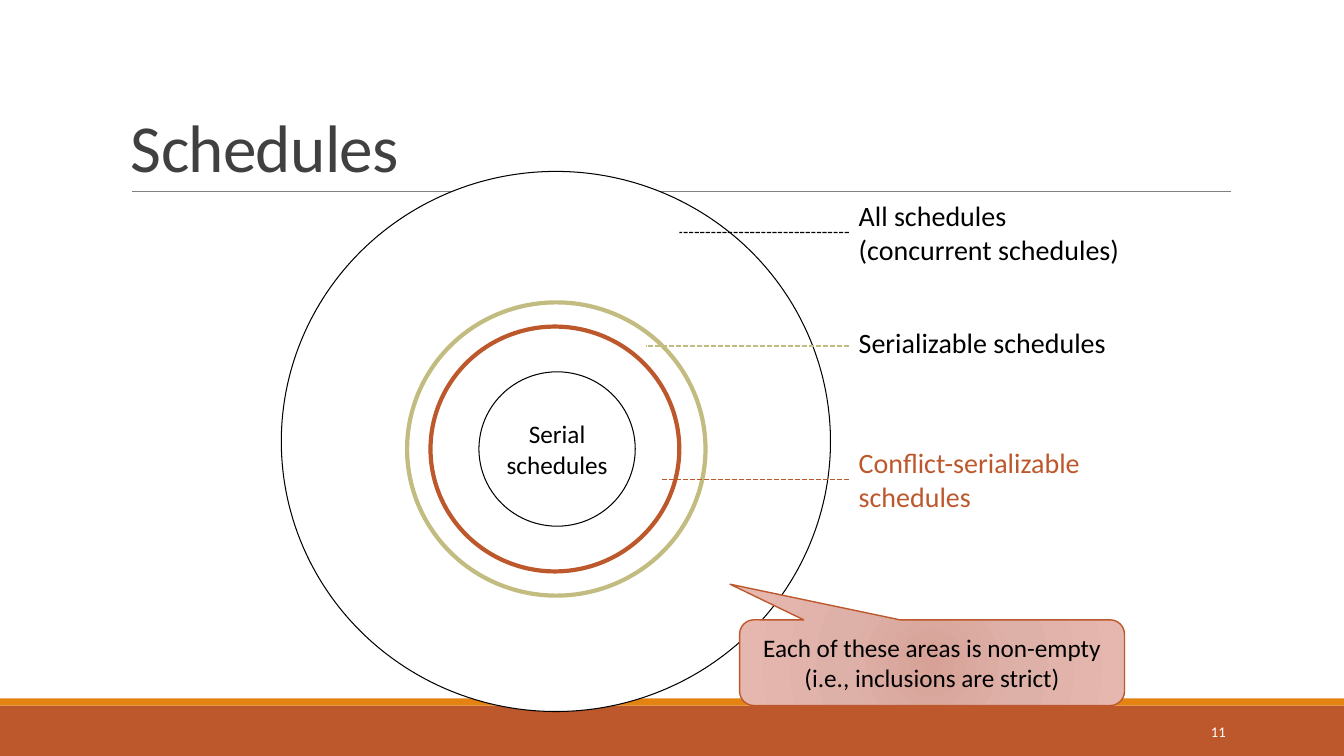
from dataclasses import dataclass

from lxml import etree
from pptx import Presentation
from pptx.dml.color import RGBColor
from pptx.enum.dml import MSO_LINE
from pptx.enum.shapes import MSO_CONNECTOR, MSO_SHAPE
from pptx.enum.text import MSO_ANCHOR, PP_ALIGN
from pptx.oxml import parse_xml
from pptx.oxml.ns import nsdecls, qn
from pptx.util import Cm, Pt

RECTANGLE, OVAL = MSO_SHAPE.RECTANGLE, MSO_SHAPE.OVAL
CALLOUT = MSO_SHAPE.ROUNDED_RECTANGULAR_CALLOUT
STRAIGHT = MSO_CONNECTOR.STRAIGHT
DASHED = MSO_LINE.SQUARE_DOT
TOP, MIDDLE, BOTTOM = MSO_ANCHOR.TOP, MSO_ANCHOR.MIDDLE, MSO_ANCHOR.BOTTOM
LEFT, CENTER, RIGHT = PP_ALIGN.LEFT, PP_ALIGN.CENTER, PP_ALIGN.RIGHT
LEFT_SIDE = 1


@dataclass(frozen=True)
class Theme:
    font: str = "Calibri"
    black: str = "000000"
    white: str = "FFFFFF"
    title: str = "404040"
    rule: str = "808080"
    rust: str = "BD582C"
    orange: str = "E48312"
    olive: str = "C2BC80"
    callout_stops: tuple = ((0, "D7A197"), (45, "DEB1A8"), (100, "E6B7AE"))
    title_size: float = 48
    label_size: float = 20
    body_size: float = 18
    number_size: float = 10.5


THEME = Theme()


def write(shape, text, size, color=THEME.black, align=LEFT, anchor=TOP,
          line_spacing=None, tracking=None, side_inset=0.25):
    frame = shape.text_frame
    frame.word_wrap = True
    frame.vertical_anchor = anchor
    frame.margin_left = frame.margin_right = Cm(side_inset)
    para = frame.paragraphs[0]
    para.text = text
    para.alignment = align
    if line_spacing:
        para.line_spacing = line_spacing
    for span in para.runs:
        span.font.name = THEME.font
        span.font.size = Pt(size)
        span.font.color.rgb = RGBColor.from_string(color)
        if tracking:
            span.font._element.set("spc", str(tracking))


def add_text(page, box, text, size, **style):
    shape = page.shapes.add_textbox(*map(Cm, box))
    write(shape, text, size, **style)
    return shape


def add_figure(page, preset, box, fill=None, line=None, width=0.75):
    shape = page.shapes.add_shape(preset, *map(Cm, box))
    shape.shadow.inherit = False
    if fill:
        shape.fill.solid()
        shape.fill.fore_color.rgb = RGBColor.from_string(fill)
    else:
        shape.fill.background()
    if line:
        shape.line.color.rgb = RGBColor.from_string(line)
        shape.line.width = Pt(width)
    else:
        shape.line.fill.background()
    return shape


def add_line(page, start, end, color, width, dash=None):
    line = page.shapes.add_connector(STRAIGHT, *map(Cm, (*start, *end)))
    line.line.color.rgb = RGBColor.from_string(color)
    line.line.width = Pt(width)
    if dash:
        line.line.dash_style = dash
    etree.SubElement(line._element.spPr, qn("a:effectLst"))
    return line


def radial_fill(shape, stops):
    """Replace the empty fill of a shape by a circular gradient."""
    marks = "".join(
        f'<a:gs pos="{place * 1000}"><a:srgbClr val="{color}"/></a:gs>'
        for place, color in stops)
    gradient = parse_xml(
        f'<a:gradFill {nsdecls("a")}><a:gsLst>{marks}</a:gsLst>'
        '<a:path path="circle"><a:fillToRect l="100000" t="100000" '
        'r="100000" b="100000"/></a:path></a:gradFill>')
    properties = shape._element.spPr
    properties.replace(properties.find(qn("a:noFill")), gradient)


def draw_footer(page, box, number):
    left, top, width, height = box
    stripe = 0.18
    add_figure(page, RECTANGLE, box, THEME.rust)
    add_figure(page, RECTANGLE, (left, top - stripe, width, stripe), THEME.orange)
    add_text(page, (left + 27.51, top + 0.15, 3.63, 1.02), number,
             THEME.number_size, color=THEME.white, align=RIGHT, anchor=MIDDLE)


def draw_title(page, box, text):
    left, top, width, height = box
    rule_y = top + height
    add_line(page, (left + 0.28, rule_y), (left + width + 0.02, rule_y),
             THEME.rule, 0.5)
    add_text(page, box, text, THEME.title_size, color=THEME.title,
             anchor=BOTTOM, line_spacing=0.85, tracking=-50)


def draw_nested_sets(page, box):
    left, top, width, height = box
    rings = (
        (0, 0, width, height, THEME.white, THEME.black, 0.75),
        (3.17, 3.3, 7.52, 7.39, THEME.white, THEME.olive, 3),
        (3.76, 3.91, 6.27, 6.17, None, THEME.rust, 3),
        (4.98, 5.05, 3.94, 3.89, None, THEME.black, 0.75),
    )
    for across, down, ring_width, ring_height, fill, line, weight in rings:
        ring = add_figure(page, OVAL,
                          (left + across, top + down, ring_width, ring_height),
                          fill, line, weight)
    write(ring, "Serial schedules", THEME.body_size, align=CENTER,
          anchor=MIDDLE, side_inset=0.1)


def draw_labels(page, box):
    """Place each label around its leader line, which runs left into a ring."""
    left, top, width, _ = box
    labels = (
        ("All schedules\v(concurrent schedules)", 0.98, 1.96, 4.27,
         THEME.black, THEME.black, 1),
        ("Serializable schedules", 3.83, 1.26, 5.11,
         THEME.black, THEME.olive, 1.25),
        ("Conflict-serializable\vschedules", 7.2, 1.96, 4.7,
         THEME.rust, THEME.rust, 1.25),
    )
    for text, middle, height, reach, color, line_color, weight in labels:
        y = top + middle
        label = add_text(page, (left, y - height / 2, width, height), text,
                         THEME.label_size, color=color)
        leader = add_line(page, (left, y), (left - reach, y), line_color,
                          weight, DASHED)
        leader.begin_connect(label, LEFT_SIDE)


def draw_callout(page, box, text):
    callout = add_figure(page, CALLOUT, box, line=THEME.rust, width=1)
    for index, value in enumerate((-0.525, -0.916, 0.167)):
        callout.adjustments[index] = value
    radial_fill(callout, THEME.callout_stops)
    write(callout, text, THEME.body_size, align=CENTER, anchor=MIDDLE)


def main():
    deck = Presentation()
    deck.slide_width, deck.slide_height = Cm(33.87), Cm(19.05)
    page = deck.slides.add_slide(deck.slide_layouts[6])
    draw_footer(page, (0, 17.78, 33.87, 1.27), "11")
    draw_title(page, (3.05, 0.79, 27.94, 4.04), "Schedules")
    draw_nested_sets(page, (7.09, 4.32, 13.84, 13.61))
    draw_labels(page, (21.39, 4.88, 7.6, 8.2))
    draw_callout(page, (18.64, 15.62, 9.7, 2.16),
                 "Each of these areas is non-empty\v(i.e., inclusions are strict)")
    deck.save("out.pptx")


if __name__ == "__main__":
    main()
